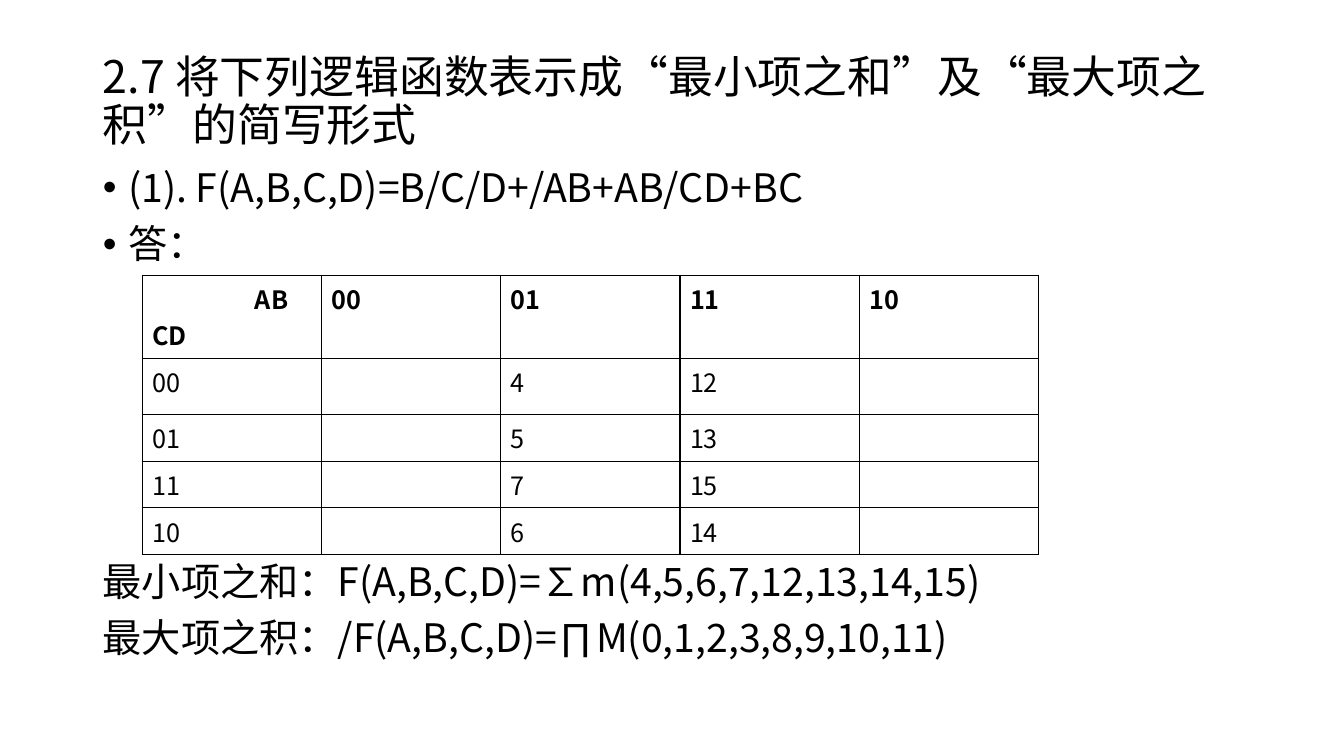
from dataclasses import dataclass

import lxml.etree
import pptx
import pptx.dml.color
import pptx.enum.text
import pptx.oxml.ns
import pptx.util

Inches = pptx.util.Inches
Pt = pptx.util.Pt
qn = pptx.oxml.ns.qn
ALIGN = pptx.enum.text.PP_ALIGN


@dataclass(frozen=True)
class Theme:
    font: str = "Noto Sans CJK SC"
    ink: str = "000000"
    title_size: int = 32
    body_size: int = 28
    table_size: int = 18
    line_spacing: float = 0.9
    border_width: int = 1


@dataclass(frozen=True)
class Box:
    left: float
    top: float
    width: float
    height: float


@dataclass(frozen=True)
class BodyLine:
    text: str
    bulleted: bool
    space_before: int


THEME = Theme()
TITLE = "2.7 将下列逻辑函数表示成“最小项之和”及“最大项之积”的简写形式"
TITLE_BOX = Box(0.92, 0.64, 11.5, 0.76)
BODY_BOX = Box(0.92, 1.62, 11.5, 5.13)
MAP_BOX = Box(1.41, 2.73, 8.89, 2.76)
BODY_LINES = [
    BodyLine("(1). F(A,B,C,D)=B/C/D+/AB+AB/CD+BC", True, 0),
    BodyLine("答：", True, 10),
    BodyLine("最小项之和：F(A,B,C,D)=∑m(4,5,6,7,12,13,14,15)", False, 211),
    BodyLine("最大项之积：/F(A,B,C,D)=∏M(0,1,2,3,8,9,10,11)", False, 10),
]
GRAY_CODE = ["00", "01", "11", "10"]
MINTERMS = {4, 5, 6, 7, 12, 13, 14, 15}
ROW_HEIGHTS = [0.82, 0.56, 0.46, 0.46, 0.46]


def format_runs(paragraph, size: int, bold: bool = False) -> None:
    for run in paragraph.runs:
        run.font.size = Pt(size)
        run.font.bold = bold
        run.font.name = THEME.font
        run.font.color.rgb = pptx.dml.color.RGBColor.from_string(THEME.ink)
        east_asian = lxml.etree.Element(qn("a:ea"), typeface=THEME.font)
        run.font._element.find(qn("a:latin")).addnext(east_asian)


def place(placeholder, box: Box, anchor) -> None:
    placeholder.left, placeholder.top = Inches(box.left), Inches(box.top)
    placeholder.width, placeholder.height = Inches(box.width), Inches(box.height)
    frame = placeholder.text_frame
    frame.word_wrap = True
    frame.auto_size = pptx.enum.text.MSO_AUTO_SIZE.NONE
    frame.vertical_anchor = anchor


def set_bullet(paragraph, bulleted: bool) -> None:
    properties = paragraph._p.get_or_add_pPr()
    indent = Inches(0.25) if bulleted else 0
    properties.set("marL", str(indent))
    properties.set("indent", str(-indent))
    if bulleted:
        lxml.etree.SubElement(properties, qn("a:buFont"), typeface="Arial")
        lxml.etree.SubElement(properties, qn("a:buChar"), char="•")
    else:
        lxml.etree.SubElement(properties, qn("a:buNone"))


def add_title(slide) -> None:
    title = slide.shapes.title
    place(title, TITLE_BOX, pptx.enum.text.MSO_ANCHOR.MIDDLE)
    title.text_frame.text = TITLE
    heading = title.text_frame.paragraphs[0]
    heading.alignment = ALIGN.LEFT
    heading.line_spacing = THEME.line_spacing
    format_runs(heading, THEME.title_size)


def add_body(slide) -> None:
    body = slide.placeholders[1]
    place(body, BODY_BOX, pptx.enum.text.MSO_ANCHOR.TOP)
    body.text_frame.text = "\n".join(line.text for line in BODY_LINES)
    for paragraph, line in zip(body.text_frame.paragraphs, BODY_LINES):
        set_bullet(paragraph, line.bulleted)
        paragraph.line_spacing = THEME.line_spacing
        paragraph.space_before = Pt(line.space_before)
        format_runs(paragraph, THEME.body_size)


def style_cell(cell, bold: bool) -> None:
    properties = cell._tc.get_or_add_tcPr()
    for side in ("lnL", "lnR", "lnT", "lnB"):
        border = lxml.etree.SubElement(
            properties, qn(f"a:{side}"), w=str(Pt(THEME.border_width)))
        fill = lxml.etree.SubElement(border, qn("a:solidFill"))
        lxml.etree.SubElement(fill, qn("a:srgbClr"), val=THEME.ink)
    cell.fill.background()
    for paragraph in cell.text_frame.paragraphs:
        format_runs(paragraph, THEME.table_size, bold)


def karnaugh_rows() -> list[list[str]]:
    rows = [["AB\nCD", *GRAY_CODE]]
    for cd in GRAY_CODE:
        numbers = [int(ab + cd, 2) for ab in GRAY_CODE]
        rows.append([cd, *(str(n) if n in MINTERMS else "" for n in numbers)])
    return rows


def add_karnaugh_map(slide) -> None:
    rows = karnaugh_rows()
    karnaugh = slide.shapes.add_table(
        len(rows), len(rows[0]), Inches(MAP_BOX.left), Inches(MAP_BOX.top),
        Inches(MAP_BOX.width), Inches(MAP_BOX.height)).table
    karnaugh.first_row = False
    karnaugh.horz_banding = False
    for row, height in zip(karnaugh.rows, ROW_HEIGHTS):
        row.height = Inches(height)
    for row_index, texts in enumerate(rows):
        for column_index, text in enumerate(texts):
            cell = karnaugh.cell(row_index, column_index)
            cell.text_frame.text = text
            style_cell(cell, bold=row_index == 0)
    corner = karnaugh.cell(0, 0)
    corner.margin_right = Inches(0.33)
    corner.text_frame.paragraphs[0].alignment = ALIGN.RIGHT


def main() -> None:
    presentation = pptx.Presentation()
    presentation.slide_width = Inches(13.33)
    presentation.slide_height = Inches(7.5)
    slide = presentation.slides.add_slide(presentation.slide_layouts[1])
    add_title(slide)
    add_body(slide)
    add_karnaugh_map(slide)
    presentation.save("out.pptx")


if __name__ == "__main__":
    main()
